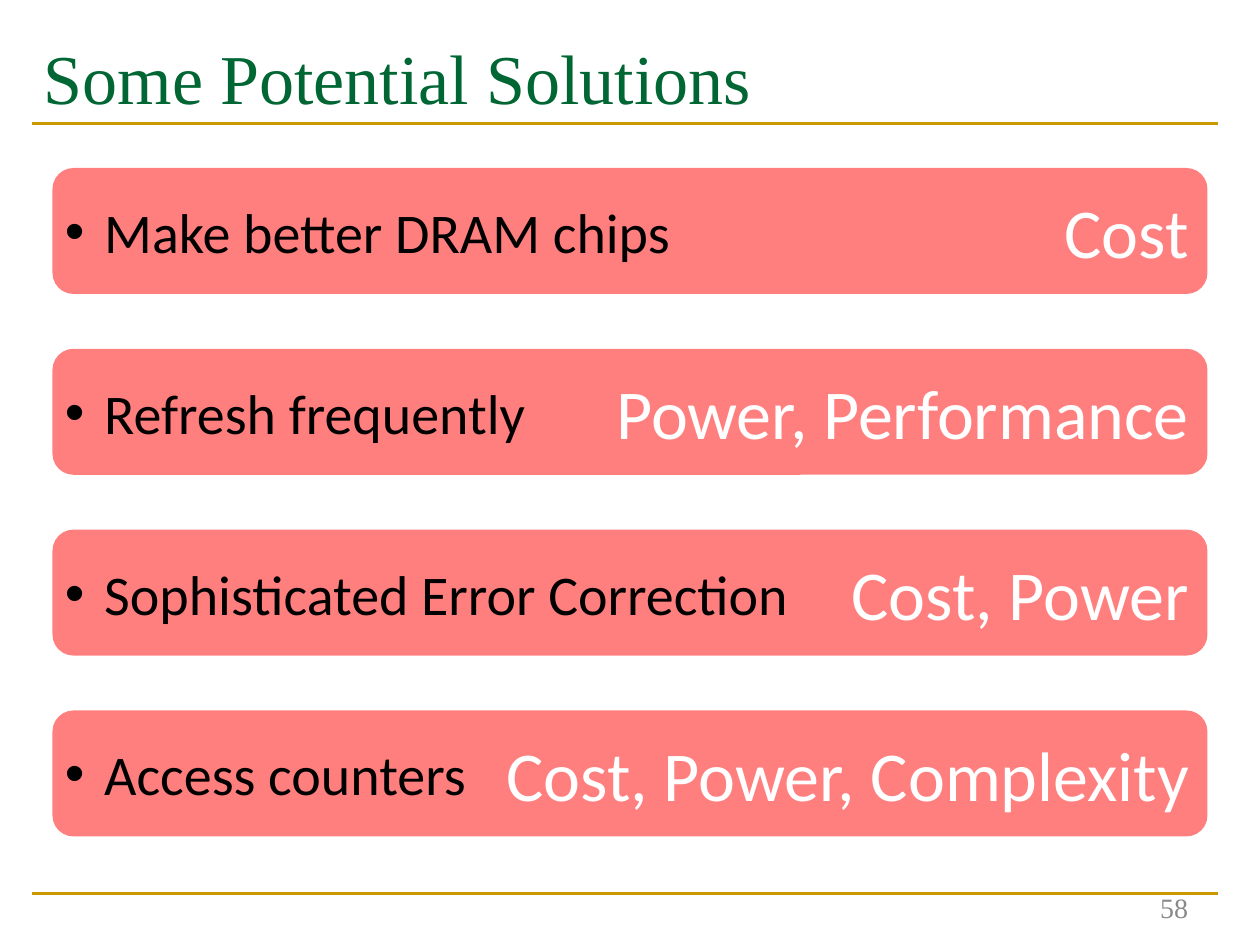
from dataclasses import dataclass

from lxml.etree import SubElement
from pptx import Presentation
from pptx.dml.color import RGBColor
from pptx.enum.shapes import MSO_CONNECTOR, MSO_SHAPE
from pptx.enum.text import MSO_ANCHOR, PP_ALIGN
from pptx.oxml.ns import qn
from pptx.util import Pt


@dataclass(frozen=True)
class Theme:
    serif: str = "Times New Roman"
    sans: str = "Calibri"
    green: str = "006633"
    gold: str = "CC9900"
    gray: str = "898989"
    red: str = "FF0000"
    black: str = "000000"
    white: str = "FFFFFF"
    head: int = 40
    body: int = 32
    small: int = 16


class Deck:
    """Holds the theme and the current slide."""

    def __init__(self, theme, slide):
        self.theme = theme
        self.slide = slide

    def label(self, shape, text, font, size, color,
              align=PP_ALIGN.LEFT, anchor=MSO_ANCHOR.MIDDLE):
        frame = shape.text_frame
        frame.word_wrap = True
        frame.vertical_anchor = anchor
        para = frame.paragraphs[0]
        para.alignment = align
        run = para.add_run()
        run.text = text
        run.font.name = font
        run.font.size = Pt(size)
        run.font.color.rgb = RGBColor.from_string(color)
        return para

    def box(self, x, y, w, h):
        return self.slide.shapes.add_textbox(Pt(x), Pt(y), Pt(w), Pt(h))

    def title(self, text):
        t = self.theme
        box = self.box(18, 12, 678, 84)
        box.text_frame.margin_top = Pt(8)
        self.label(box, text, t.serif, t.head, t.green, anchor=MSO_ANCHOR.TOP)

    def number(self, text):
        t = self.theme
        self.label(self.box(636, 502.5, 54, 29), text, t.serif, t.small,
                   t.gray, PP_ALIGN.RIGHT, MSO_ANCHOR.BOTTOM)

    def rule(self, y):
        line = self.slide.shapes.add_connector(
            MSO_CONNECTOR.STRAIGHT, Pt(18), Pt(y), Pt(696), Pt(y))
        line.line.color.rgb = RGBColor.from_string(self.theme.gold)
        line.line.width = Pt(1.5)
        SubElement(line.element.spPr, qn("a:effectLst"))

    def bar(self, x, y, w, h, text):
        """Draw a half-transparent bar with its drawback at the right."""
        t = self.theme
        bar = self.slide.shapes.add_shape(
            MSO_SHAPE.ROUNDED_RECTANGLE, Pt(x), Pt(y), Pt(w), Pt(h))
        bar.shadow.inherit = False
        bar.fill.solid()
        bar.fill.fore_color.rgb = RGBColor.from_string(t.red)
        color = bar.element.spPr.find(qn("a:solidFill"))[0]
        SubElement(color, qn("a:alpha"), val="50000")
        bar.line.fill.background()
        self.label(bar, text, t.sans, t.head, t.white, PP_ALIGN.RIGHT)

    def bullet(self, x, y, w, h, text):
        t = self.theme
        para = self.label(self.box(x, y, w, h), text, t.sans, t.body, t.black)
        props = para._p.get_or_add_pPr()
        indent = Pt(22.5)
        props.set("marL", str(indent))
        props.set("indent", str(-indent))
        SubElement(props, qn("a:buFont"), typeface="Arial")
        SubElement(props, qn("a:buChar"), char="•")


ROWS = [
    ("Make better DRAM chips", "Cost", 402),
    ("Refresh frequently", "Power, Performance", 330),
    ("Sophisticated Error Correction", "Cost, Power", 432),
    ("Access counters", "Cost, Power, Complexity", 330),
]
LEFT, FIRST, LAST = 30, 96, 406
WIDTH, HEIGHT = 660, 72


def main():
    prs = Presentation()
    prs.slide_width, prs.slide_height = Pt(720), Pt(540)
    deck = Deck(Theme(), prs.slides.add_slide(prs.slide_layouts[6]))

    for y in (510.5, 70.5):
        deck.rule(y)
    deck.title("Some Potential Solutions")
    deck.number("58 ")

    step = (LAST - FIRST) / (len(ROWS) - 1)
    for i, (idea, cost, width) in enumerate(ROWS):
        top = FIRST + i * step
        deck.bar(LEFT, top, WIDTH, HEIGHT, cost)
        deck.bullet(LEFT, top, width, HEIGHT, idea)

    prs.save("out.pptx")


if __name__ == "__main__":
    main()
